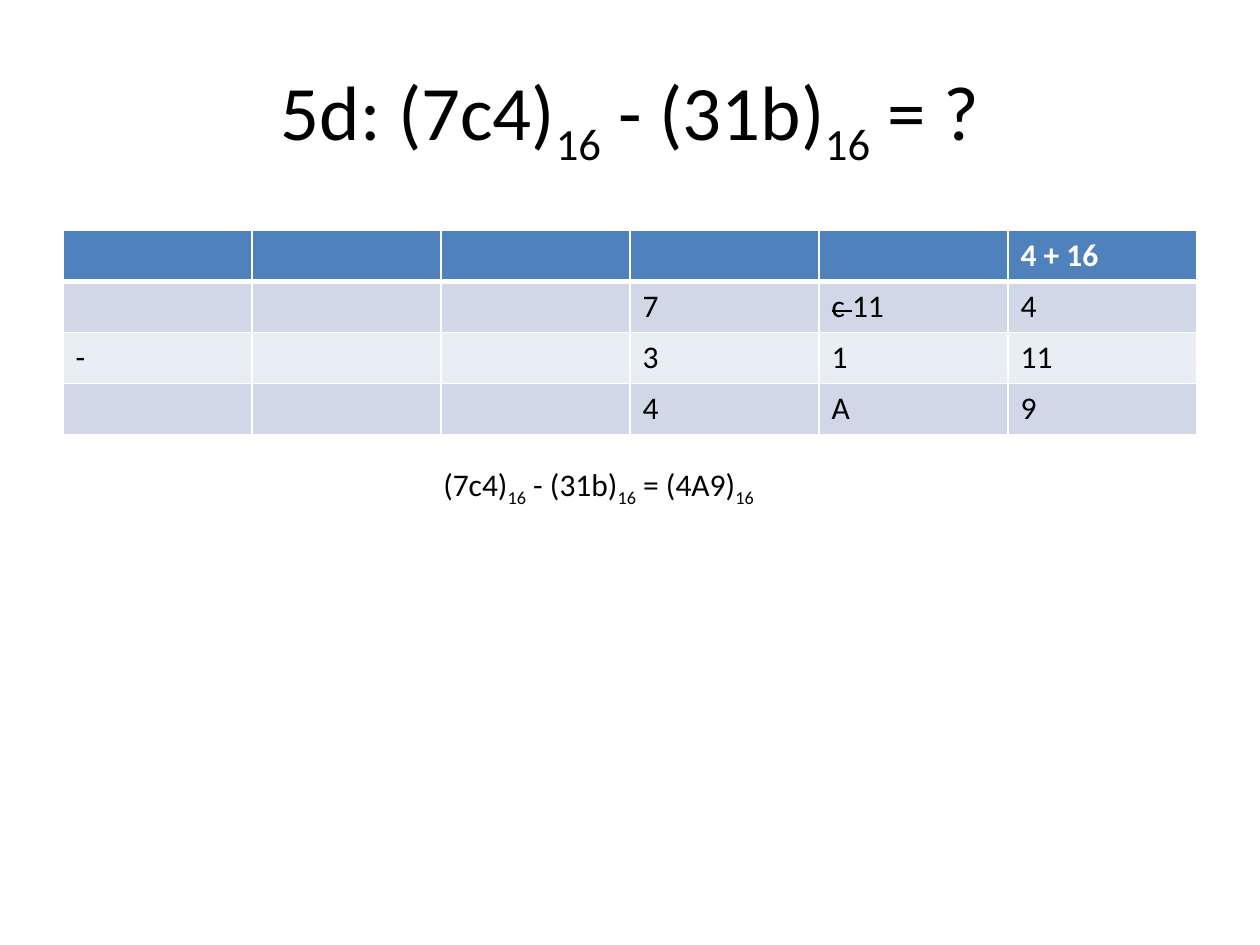
from lxml import etree
from pptx import Presentation
from pptx.dml.color import RGBColor as RGB
from pptx.enum.text import MSO_ANCHOR as Anchor, PP_ALIGN as Align
from pptx.oxml.ns import qn
from pptx.util import Inches, Pt

BLACK = RGB(0x00, 0x00, 0x00)
WHITE = RGB(0xFF, 0xFF, 0xFF)
BLUE = RGB(0x4F, 0x81, 0xBD)
BAND = RGB(0xD0, 0xD8, 0xE8)
PALE = RGB(0xE9, 0xED, 0xF4)

SUB = {"baseline": "-25000"}
STRIKE = {"strike": "sngStrike"}


def write(frame, *parts, size=18, color=BLACK, bold=False, align=None):
    """Write one paragraph; a part is plain text or (text, run attributes)."""
    para = frame.paragraphs[0]
    para.alignment = align
    for part in parts:
        text, marks = (part, {}) if isinstance(part, str) else part
        run = para.add_run()
        run.text = text
        font = run.font
        font.name, font.size, font.bold = "Calibri", Pt(size), bold
        font.color.rgb = color
        for key, val in marks.items():
            run._r.get_or_add_rPr().set(key, val)


def edge(cell, widths):
    """Draw white borders, given in points for left, right, top, bottom."""
    props = cell._tc.get_or_add_tcPr()
    for i, (side, width) in enumerate(zip("LRTB", widths)):
        line = etree.Element(qn(f"a:ln{side}"), w=str(Pt(width)))
        fill = etree.SubElement(line, qn("a:solidFill"))
        etree.SubElement(fill, qn("a:srgbClr"), val=str(WHITE))
        props.insert(i, line)


prs = Presentation()
prs.slide_width, prs.slide_height = Inches(10), Inches(7.5)
slide = prs.slides.add_slide(prs.slide_layouts[6])
base = ("16", SUB)

# Title
title = slide.shapes.add_textbox(Inches(0.5), Inches(0.3), Inches(9), Inches(1.25))
frame = title.text_frame
frame.word_wrap = True
frame.vertical_anchor = Anchor.MIDDLE
write(frame, "5d: (7c4)", base, " - (31b)", base, " = ?", size=44, align=Align.CENTER)

# Subtraction table
rows = [
    ["", "", "", "", "", "4 + 16"],
    ["", "", "", "7", [("c ", STRIKE), "11"], "4"],
    ["-", "", "", "3", "1", "11"],
    ["", "", "", "4", "A", "9"],
]
fills = [BLUE, BAND, PALE, BAND]
table = slide.shapes.add_table(
    4, 6, Inches(0.5), Inches(1.83), Inches(9), Inches(1.62)).table
for r, row in enumerate(rows):
    head = r == 0
    for c, item in enumerate(row):
        cell = table.cell(r, c)
        cell.fill.solid()
        cell.fill.fore_color.rgb = fills[r]
        edge(cell, (1, 1, 3 if r == 1 else 1, 3 if head else 1))
        if item:
            parts = [item] if isinstance(item, str) else item
            write(cell.text_frame, *parts, color=WHITE if head else BLACK, bold=head)

# Result
result = slide.shapes.add_textbox(Inches(3.42), Inches(3.64), Inches(2.77), Inches(0.4))
frame = result.text_frame
frame.word_wrap = False
write(frame, "(7c4)", base, " - (31b)", base, " = (4A9)", base)

prs.save("out.pptx")
